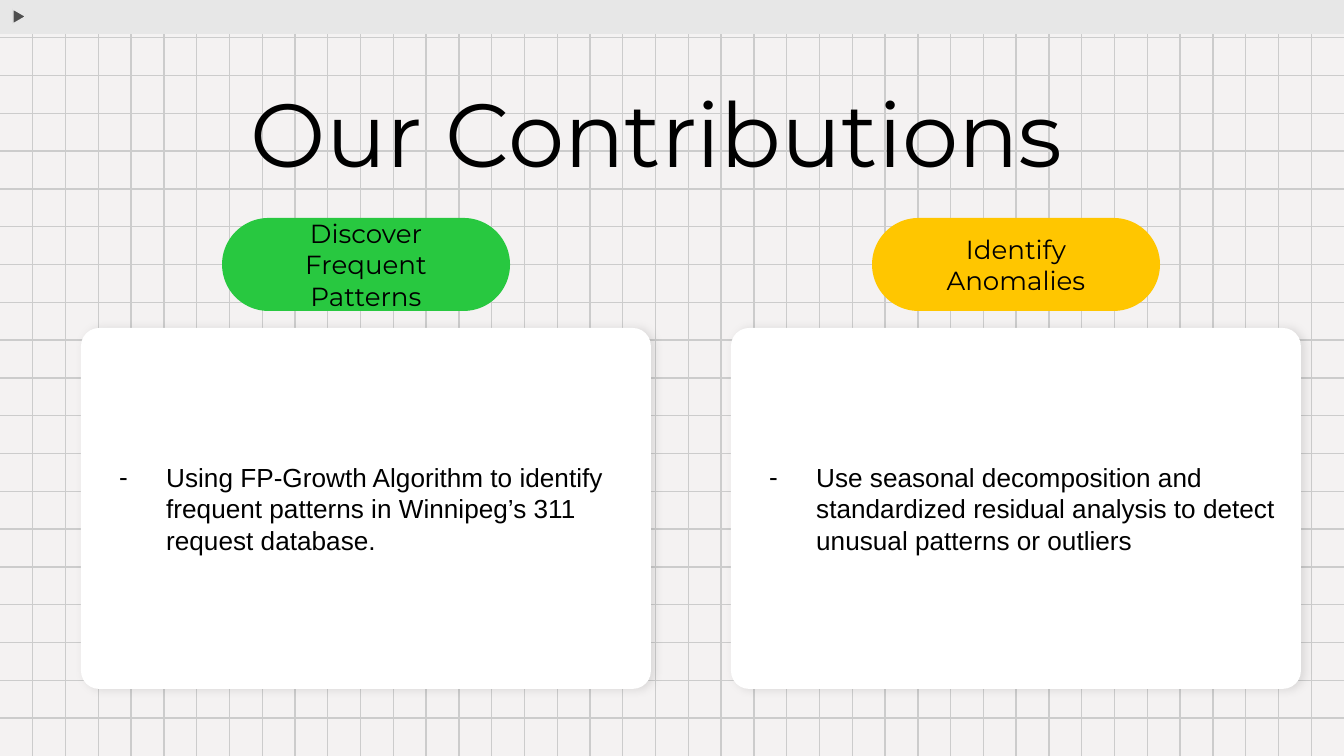
"""Build the slide on our contributions: two labelled cards over a grid."""
from dataclasses import dataclass

from lxml.etree import SubElement
from pptx import Presentation
from pptx.dml.color import RGBColor as RGB
from pptx.enum.shapes import MSO_CONNECTOR as LINK, MSO_SHAPE as KIND
from pptx.enum.text import MSO_ANCHOR as ANCHOR, PP_ALIGN as ALIGN
from pptx.oxml.ns import qn
from pptx.util import Emu, Pt

TITLE = "Our Contributions"
CARDS = [
    ("Discover Frequent Patterns", "28C840",
     "Using FP-Growth Algorithm to identify frequent patterns in Winnipeg’s 311 request database."),
    ("Identify Anomalies", "FFC600",
     "Use seasonal decomposition and standardized residual analysis to detect unusual patterns or outliers"),
]


@dataclass(frozen=True)
class Theme:
    back: str = "F4F2F2"
    grid: str = "CCCCCC"
    bar: str = "E7E7E7"
    mark: str = "4F4F4F"
    card: str = "FFFFFF"
    ink: str = "000000"
    head: str = "Montserrat"
    body: str = "Arial"
    big: int = 48
    small: int = 14
    rule: float = 0.75


T = Theme()
WIDE, HIGH = 1344, 756
COLS, ROWS = 41, 20
LEFT, STEP = 81, 650
CARD_W, CARD_H, CARD_Y = 570, 361, 328
PILL_W, PILL_H, PILL_Y = 288, 93, 218


def px(n):
    return Emu(round(n * 914400 / 134.4))


def put(item, **values):
    for name, value in values.items():
        setattr(item, name, value)


def draw(slide, kind, box, fill, round_by=None):
    shape = slide.shapes.add_shape(kind, *map(px, box))
    shape.shadow.inherit = False
    shape.fill.solid()
    shape.fill.fore_color.rgb = RGB.from_string(fill)
    shape.line.fill.background()
    if round_by is not None:
        shape.adjustments[0] = round_by
    return shape


def rule(slide, *ends):
    line = slide.shapes.add_connector(LINK.STRAIGHT, *map(px, ends))
    line.line.color.rgb = RGB.from_string(T.grid)
    line.line.width = Pt(T.rule)
    SubElement(line.element.spPr, qn("a:effectLst"))


def write(shape, words, size, font, align, anchor):
    frame = shape.text_frame
    pad = px(13)
    put(frame, word_wrap=True, vertical_anchor=anchor, margin_left=pad,
        margin_right=pad, margin_top=pad, margin_bottom=pad)
    para = frame.paragraphs[0]
    para.alignment = align
    run = para.add_run()
    run.text = words
    put(run.font, size=Pt(size), name=font)
    run.font.color.rgb = RGB.from_string(T.ink)
    return para


def shade(shape):
    effects = shape.element.spPr.find(qn("a:effectLst"))
    drop = SubElement(effects, qn("a:outerShdw"), blurRad=str(Pt(4.5)),
                      dist=str(Pt(1.5)), dir="0", algn="bl", rotWithShape="0")
    tint = SubElement(drop, qn("a:srgbClr"), val=T.ink)
    SubElement(tint, qn("a:alpha"), val="10000")


def dash(para):
    props = para._p.get_or_add_pPr()
    props.set("marL", str(px(67)))
    props.set("indent", str(-px(47)))
    tint = SubElement(props, qn("a:buClr"))
    SubElement(tint, qn("a:srgbClr"), val=T.ink)
    SubElement(props, qn("a:buFont"), typeface=T.body)
    SubElement(props, qn("a:buChar"), char="-")


def frame(slide):
    slide.background.fill.solid()
    slide.background.fill.fore_color.rgb = RGB.from_string(T.back)
    for row in range(1, ROWS):
        y = row * HIGH / ROWS
        rule(slide, 0, y, WIDE, y)
    for col in range(1, COLS):
        x = col * WIDE / COLS
        rule(slide, x, 0, x, HIGH)
    draw(slide, KIND.RECTANGLE, (0, 0, WIDE, 34), T.bar)
    mark = draw(slide, KIND.ISOSCELES_TRIANGLE, (12, 10, 15, 13), T.mark)
    mark.rotation = 90
    mark.line.color.rgb = RGB.from_string(T.bar)
    mark.line.width = Pt(T.rule)


def main():
    deck = Presentation()
    put(deck, slide_width=px(WIDE), slide_height=px(HIGH))
    slide = deck.slides.add_slide(deck.slide_layouts[6])
    frame(slide)
    title = slide.shapes.add_textbox(*map(px, (238, 77, 870, 125)))
    para = write(title, TITLE, T.big, T.head, ALIGN.LEFT, ANCHOR.TOP)
    para.line_spacing = 0.9
    for i, (label, fill, words) in enumerate(CARDS):
        x = LEFT + i * STEP
        card = draw(slide, KIND.ROUNDED_RECTANGLE, (x, CARD_Y, CARD_W, CARD_H), T.card, 0.05)
        shade(card)
        dash(write(card, words, T.small, T.body, ALIGN.LEFT, ANCHOR.MIDDLE))
        mid = x + (CARD_W - PILL_W) / 2
        pill = draw(slide, KIND.ROUNDED_RECTANGLE, (mid, PILL_Y, PILL_W, PILL_H), fill, 0.5)
        write(pill, label, T.small, T.head, ALIGN.CENTER, ANCHOR.MIDDLE)
    deck.save("out.pptx")


if __name__ == "__main__":
    main()
